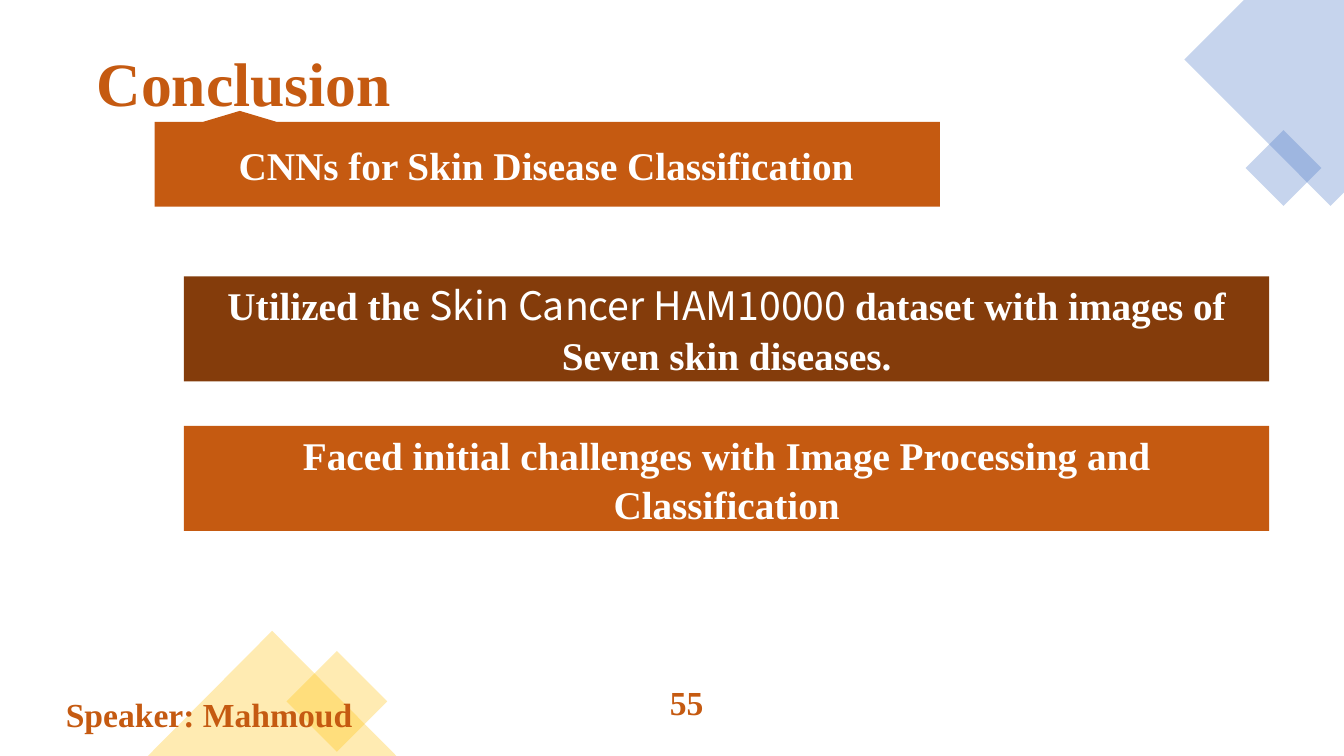
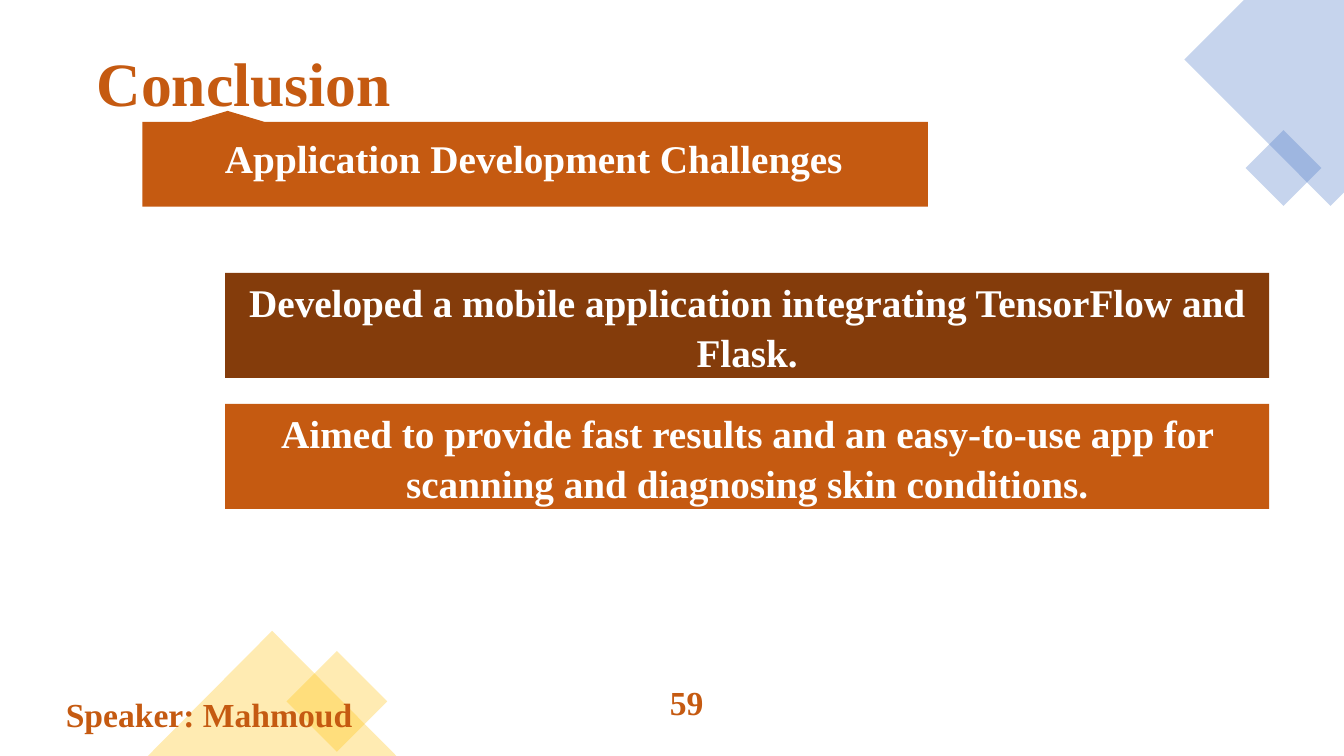
import pptx
import pptx.util
import pptx.dml.color
import pptx.enum.shapes
import pptx.enum.text
import pptx.oxml
import pptx.oxml.ns

RGBColor = pptx.dml.color.RGBColor
SHAPE = pptx.enum.shapes.MSO_SHAPE
ALIGN = pptx.enum.text.PP_ALIGN
ANCHOR = pptx.enum.text.MSO_ANCHOR

ORANGE = RGBColor(0xC5, 0x5A, 0x11)
BROWN = RGBColor(0x84, 0x3C, 0x0B)
BLUE = RGBColor(0x44, 0x72, 0xC4)
GOLD = RGBColor(0xFF, 0xC0, 0x00)
WHITE = RGBColor(0xFF, 0xFF, 0xFF)

SERIF = "Times New Roman"
SANS = "Noto Sans CJK SC"

COLUMNS, ROWS = 160, 90
CELL = pptx.util.Inches(1) // 12
BAR_RIGHT = 151.1
BAR_HEIGHT = 12.5

SLIDES = [
    {
        "number": "55",
        "heading": "CNNs for Skin Disease Classification",
        "heading_left": 18.4,
        "heading_text_top": 16.2,
        "bar_left": 21.9,
        "bar_top": 32.9,
        "bar_step": 17.8,
        "points": [
            [("Utilized the ", SERIF), ("Skin Cancer HAM10000 ", SANS),
             ("dataset with images of Seven skin diseases.", SERIF)],
            [("Faced initial challenges with Image Processing and "
              "Classification", SERIF)],
        ],
    },
    {
        "number": "59",
        "heading": "Application Development Challenges",
        "heading_left": 16.95,
        "heading_text_top": 15.4,
        "bar_left": 26.8,
        "bar_top": 32.5,
        "bar_step": 15.6,
        "points": [
            [("Developed a mobile application integrating TensorFlow and "
              "Flask.", SERIF)],
            [("Aimed to provide fast results and an easy-to-use app for "
              "scanning and diagnosing skin conditions.", SERIF)],
        ],
    },
]


def cells(*lengths):
    """Turn grid lengths into EMU."""
    return [pptx.util.Emu(round(length * CELL)) for length in lengths]


class Deck:
    def __init__(self):
        self.presentation = pptx.Presentation()
        self.presentation.slide_width = COLUMNS * CELL
        self.presentation.slide_height = ROWS * CELL
        self.slide = None

    def new_slide(self, title):
        layout = self.presentation.slide_layouts[5]
        self.slide = self.presentation.slides.add_slide(layout)
        heading = self.slide.shapes.title
        heading.left, heading.top, heading.width, heading.height = cells(
            10.3, 4.7, 46, 10.1)
        self.set_text(heading, [(title, SERIF)], 44, ORANGE, ALIGN.LEFT)

    def set_text(self, shape, runs, size, color, align=ALIGN.CENTER,
                 anchor=ANCHOR.MIDDLE):
        """Fill a shape with one bold paragraph; sans runs are not bold."""
        frame = shape.text_frame
        frame.word_wrap = True
        frame.auto_size = pptx.enum.text.MSO_AUTO_SIZE.NONE
        frame.vertical_anchor = anchor
        paragraph = frame.paragraphs[0]
        paragraph.alignment = align
        font = paragraph.font
        font.name, font.size, font.bold = SERIF, pptx.util.Pt(size), True
        font.color.rgb = color
        for text, face in runs:
            run = paragraph.add_run()
            run.text = text
            if face != SERIF:
                run.font.name, run.font.bold = face, False
        return paragraph

    def paint(self, shape, color, opacity=100):
        shape.shadow.inherit = False
        shape.line.fill.background()
        shape.fill.solid()
        shape.fill.fore_color.rgb = color
        if opacity < 100:
            fill_tag = pptx.oxml.ns.qn("a:solidFill")
            rgb = shape.element.spPr.find(fill_tag)[0]
            rgb.append(pptx.oxml.parse_xml(
                f'<a:alpha {pptx.oxml.ns.nsdecls("a")} '
                f'val="{opacity * 1000}"/>'))

    def block(self, kind, left, top, width, height, color, opacity=100):
        shape = self.slide.shapes.add_shape(
            kind, *cells(left, top, width, height))
        self.paint(shape, color, opacity)
        return shape

    def outline(self, points, color, opacity=100):
        first, *others = [cells(*point) for point in points]
        builder = self.slide.shapes.build_freeform(*first)
        builder.add_line_segments(others, close=True)
        self.paint(builder.convert_to_shape(), color, opacity)

    def label(self, text, left, top, width, height):
        """Footer text without margins."""
        box = self.slide.shapes.add_textbox(*cells(left, top, width, height))
        frame = box.text_frame
        frame.margin_left = frame.margin_right = 0
        frame.margin_top = frame.margin_bottom = 0
        self.set_text(box, [(text, SERIF)], 24, ORANGE, anchor=ANCHOR.TOP)

    def decorate(self):
        self.outline([(COLUMNS, 0), (148.1, 0), (141, 7.1), (158.4, 24.5),
                      (COLUMNS, 22.9)], BLUE, 30)
        self.block(SHAPE.DIAMOND, 148.3, 15.5, 9, 9, BLUE, 30)
        self.block(SHAPE.DIAMOND, 34.1, 77.5, 12, 12, GOLD, 30)
        self.block(SHAPE.ISOSCELES_TRIANGLE, 17.6, 75.1, 29.6, 14.9, GOLD, 30)

    def callout(self, text, left, text_top):
        """Heading band with a small peak on its upper edge."""
        top, bottom, right = 14.5, 24.6, left + 93.5
        self.outline([(left, bottom), (right, bottom), (right, top),
                      (left + 14.5, top), (left + 10.15, 13.2),
                      (left + 5.8, top), (left, top)], ORANGE)
        box = self.slide.shapes.add_textbox(
            *cells(left + 1, text_top, 91.2, 6.8))
        self.set_text(box, [(text, SERIF)], 28, WHITE)

    def bar(self, runs, left, top, color):
        shape = self.block(SHAPE.RECTANGLE, left, top, BAR_RIGHT - left,
                           BAR_HEIGHT, color)
        self.set_text(shape, runs, 28, WHITE).line_spacing = 1.05


def main():
    deck = Deck()
    for content in SLIDES:
        deck.new_slide("Conclusion")
        deck.decorate()
        deck.callout(content["heading"], content["heading_left"],
                     content["heading_text_top"])
        for index, (runs, color) in enumerate(
                zip(content["points"], (BROWN, ORANGE))):
            top = content["bar_top"] + index * content["bar_step"]
            deck.bar(runs, content["bar_left"], top, color)
        deck.label(content["number"], 52.9, 81.2, 57.7, 4.8)
        deck.label("Speaker: Mahmoud", 5.6, 82.6, 38.6, 4.8)
    deck.presentation.save("out.pptx")


if __name__ == "__main__":
    main()
